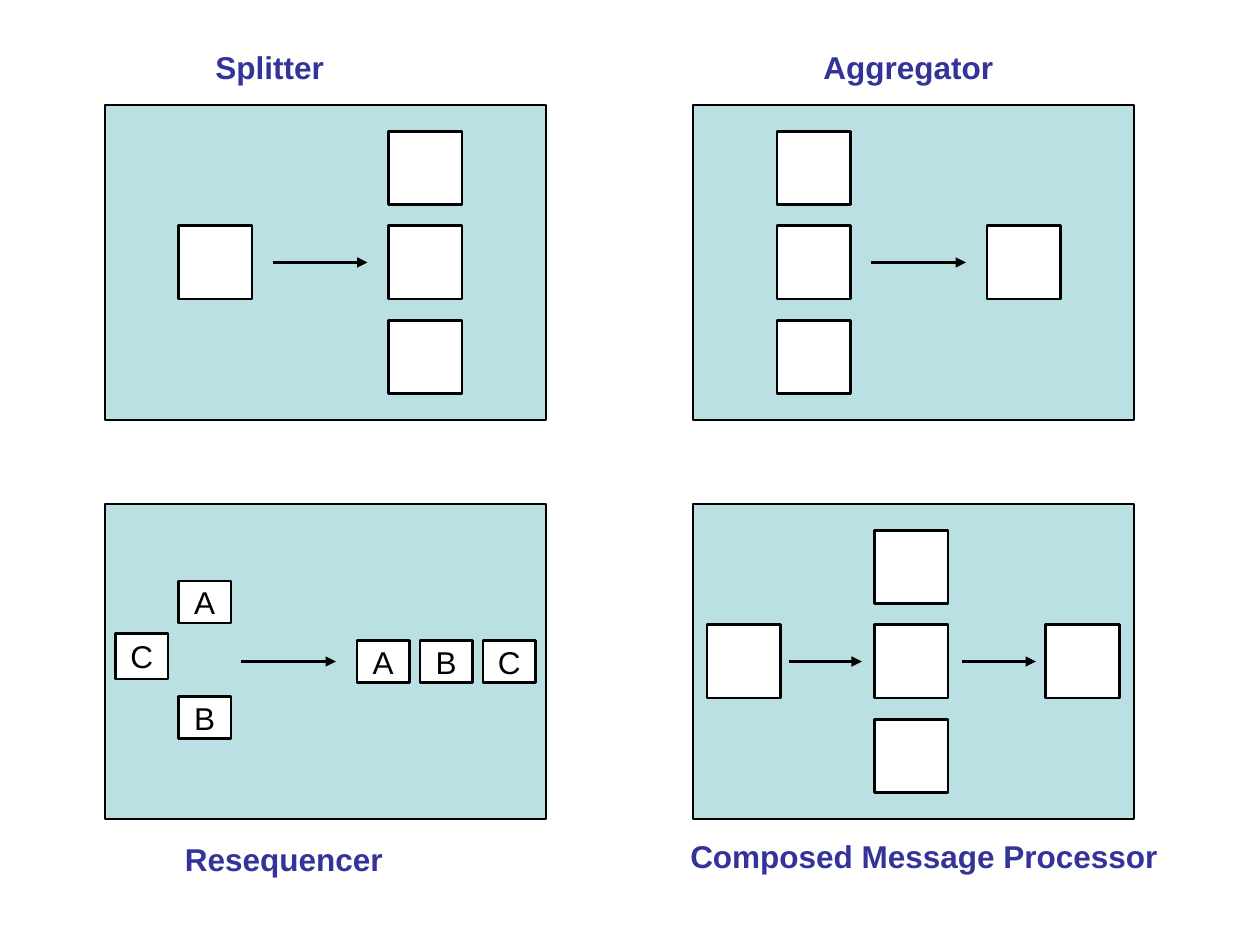
"""Build a slide of four message routing patterns, each a panel of boxes and arrows."""
from lxml import etree
from pptx import Presentation
from pptx.dml.color import RGBColor
from pptx.enum import shapes, text
from pptx.oxml import ns
from pptx.util import Pt

COLORS = {"panel": "BBE0E3", "box": "FFFFFF", "ink": "000000", "caption": "333399"}
FONT = "Arial"
PANEL_WIDTH, PANEL_HEIGHT = 252, 180
MIDDLE = PANEL_HEIGHT / 2
MESSAGE, PITCH = 42, 54
LETTER_WIDTH, LETTER_HEIGHT = 30, 24
CAPTION_HEIGHT = 28.8

PATTERNS = [
    {"caption": ("Splitter", 116, 24, 76.3), "panel": (60, 60),
     "singles": [42], "column": 162, "arrows": [(96, 150)], "letters": []},
    {"caption": ("Aggregator", 456, 24, 126), "panel": (396, 60),
     "singles": [168], "column": 48, "arrows": [(102, 156)], "letters": []},
    {"caption": ("Resequencer", 96, 476.6, 132.5), "panel": (60, 288),
     "singles": [], "column": None, "arrows": [(78, 132)],
     "letters": [("A", 42, 44, LETTER_HEIGHT), ("C", 6, 74, 26), ("B", 42, 110, LETTER_HEIGHT)]
     + [(letter, 144 + 36 * index, 78, LETTER_HEIGHT) for index, letter in enumerate("ABC")]},
    {"caption": ("Composed Message Processor", 384, 475, 288), "panel": (396, 288),
     "singles": [8, 201.6], "column": 103.7, "arrows": [(54.7, 96.5), (154, 196)],
     "letters": []},
]


def rgb(name):
    return RGBColor.from_string(COLORS[name])


def write(shape, words, color, bold=False):
    paragraph = shape.text_frame.paragraphs[0]
    paragraph.text = words
    paragraph.alignment = text.PP_ALIGN.CENTER
    font = paragraph.font
    font.name, font.size, font.bold = FONT, Pt(18), bold
    font.color.rgb = rgb(color)


def add_box(slide, left, top, width, height, fill, words=""):
    shape = slide.shapes.add_shape(
        shapes.MSO_SHAPE.RECTANGLE, Pt(left), Pt(top), Pt(width), Pt(height))
    shape.shadow.inherit = False
    shape.fill.solid()
    shape.fill.fore_color.rgb = rgb(fill)
    shape.line.color.rgb = rgb("ink")
    shape.line.width = Pt(1.5)
    if words:
        shape.text_frame.word_wrap = False
        shape.text_frame.vertical_anchor = text.MSO_ANCHOR.MIDDLE
        write(shape, words, "ink")


def add_arrow(slide, start, end, y):
    arrow = slide.shapes.add_connector(
        shapes.MSO_CONNECTOR.STRAIGHT, Pt(start), Pt(y), Pt(end), Pt(y))
    arrow.line.color.rgb = rgb("ink")
    arrow.line.width = Pt(1.5)
    etree.SubElement(arrow.line._get_or_add_ln(), ns.qn("a:tailEnd"), type="triangle")
    etree.SubElement(arrow._element.spPr, ns.qn("a:effectLst"))


def add_caption(slide, words, left, top, width):
    caption = slide.shapes.add_textbox(Pt(left), Pt(top), Pt(width), Pt(CAPTION_HEIGHT))
    caption.text_frame.word_wrap = words != "Splitter"
    write(caption, words, "caption", bold=True)


def add_pattern(slide, pattern):
    left, top = pattern["panel"]
    add_box(slide, left, top, PANEL_WIDTH, PANEL_HEIGHT, "panel")
    message_top = top + MIDDLE - MESSAGE / 2
    messages = [(x, 0) for x in pattern["singles"]]
    if pattern["column"] is not None:
        messages += [(pattern["column"], row) for row in (-1, 0, 1)]
    for x, row in messages:
        add_box(slide, left + x, message_top + row * PITCH, MESSAGE, MESSAGE, "box")
    for letter, x, y, height in pattern["letters"]:
        add_box(slide, left + x, top + y, LETTER_WIDTH, height, "box", letter)
    for start, end in pattern["arrows"]:
        add_arrow(slide, left + start, left + end, top + MIDDLE)
    add_caption(slide, *pattern["caption"])


def main():
    presentation = Presentation()
    presentation.slide_width, presentation.slide_height = Pt(720), Pt(540)
    slide = presentation.slides.add_slide(presentation.slide_layouts[6])
    for pattern in PATTERNS:
        add_pattern(slide, pattern)
    presentation.save("out.pptx")


if __name__ == "__main__":
    main()
